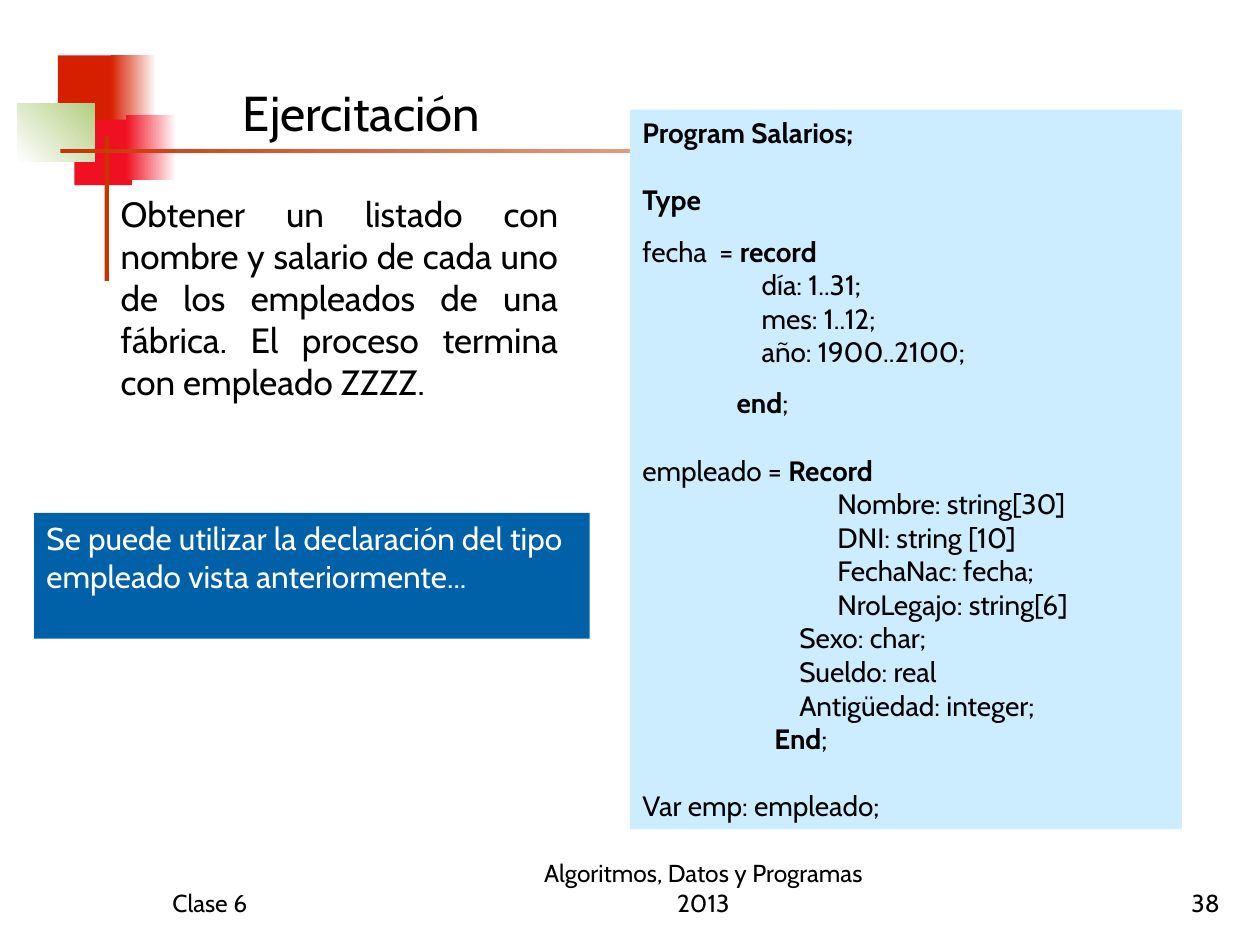
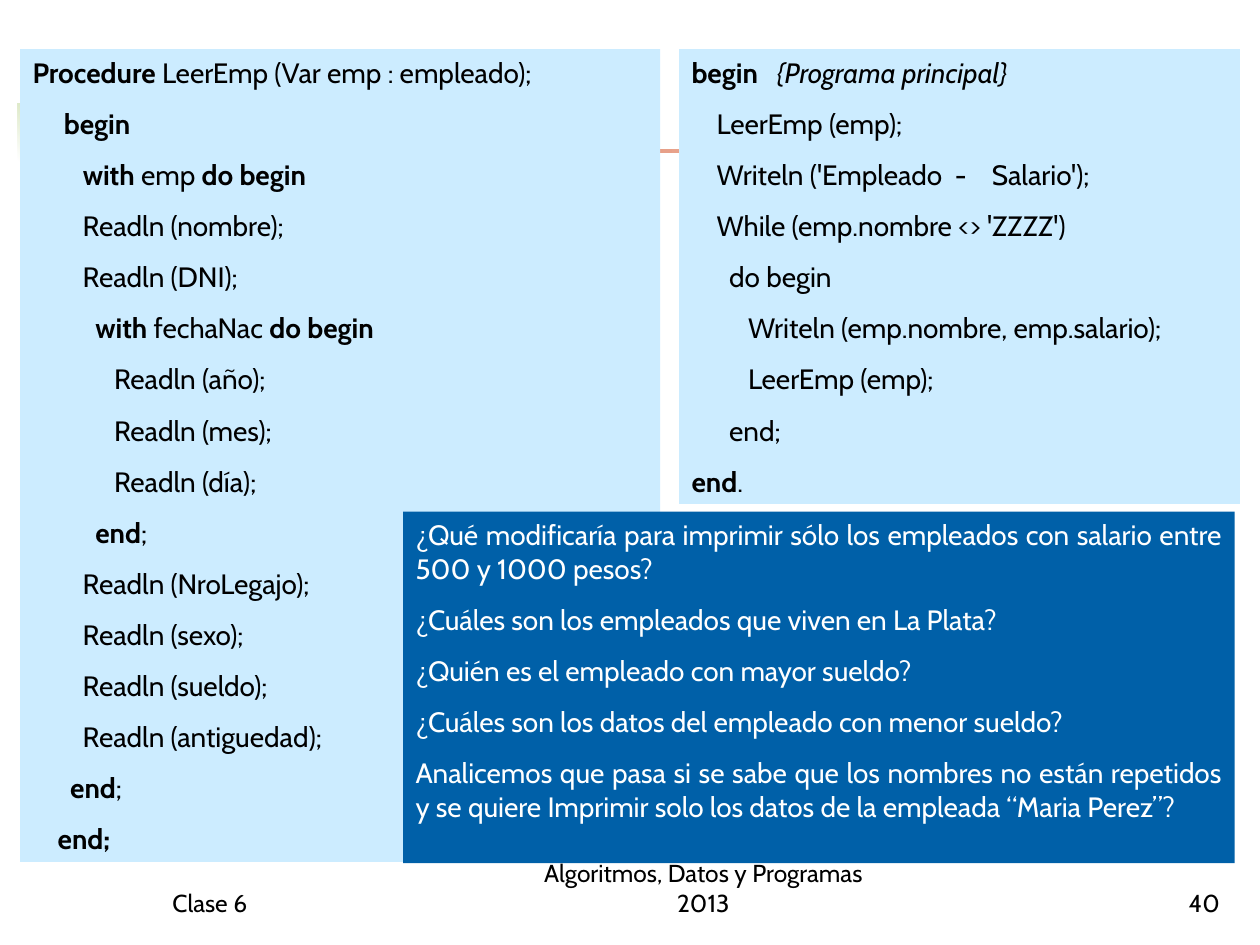
from lxml import etree
from pptx import Presentation
from pptx import util as u
from pptx.dml.color import RGBColor
from pptx.enum import shapes, text
from pptx.oxml.ns import qn

COLORS = {
    "black": "000000", "white": "FFFFFF", "red": "D61F00", "crimson": "EF1121",
    "green": "B3CE82", "rust": "CC3300", "code": "CCECFF", "note": "0060A8",
}
RGB = {name: RGBColor.from_string(value) for name, value in COLORS.items()}
FONT = "Cabin"
LEFT, CENTER, RIGHT, JUSTIFY = (
    text.PP_ALIGN.LEFT, text.PP_ALIGN.CENTER, text.PP_ALIGN.RIGHT, text.PP_ALIGN.JUSTIFY)
TOP, BOTTOM = text.MSO_ANCHOR.TOP, text.MSO_ANCHOR.BOTTOM
BLANK_LINE = 19.2  # points, one empty line of 16 pt code

prs = Presentation()
prs.slide_width, prs.slide_height = u.Inches(10), u.Inches(7.5)
CELL = prs.slide_width // 100  # grid of 100 columns by 75 rows


def add_box(s, at, fill=None, fade=None, angle=0):
    """Rectangle at (column, row, columns, rows), plain or fading between two colours."""
    sp = s.shapes.add_shape(shapes.MSO_SHAPE.RECTANGLE, *(round(v * CELL) for v in at))
    sp.shadow.inherit = False
    sp.line.fill.background()
    if fade:
        sp.fill.gradient()
        sp.fill.gradient_angle = angle
        for stop, name in zip(sp.fill.gradient_stops, (fill, fade)):
            stop.color.rgb = RGB[name]
    else:
        sp.fill.solid()
        sp.fill.fore_color.rgb = RGB[fill]
    return sp


def add_text(s, at, lines, size, fill=None, color="black", align=LEFT, anchor=TOP,
             gap=0, gaps={}):
    """Write lines; *stars* mark bold, braces mark italic; gaps overrides gap by line."""
    if fill:
        sp = add_box(s, at, fill)
    else:
        sp = s.shapes.add_textbox(*(round(v * CELL) for v in at))
    tf = sp.text_frame
    tf.word_wrap, tf.vertical_anchor = True, anchor
    for i, line in enumerate(lines):
        p = tf.paragraphs[0] if i == 0 else tf.add_paragraph()
        p.alignment = align
        p.space_before = u.Pt(gaps.get(i, gap) if i else 0)
        if "\t" in line:
            tabs = etree.SubElement(p._p.get_or_add_pPr(), qn("a:tabLst"))
            etree.SubElement(tabs, qn("a:tab"), pos=str(10 * CELL), algn="l")
        p.font.name, p.font.size = FONT, u.Pt(size)
        p.font.color.rgb = RGB[color]
        for j, part in enumerate(line.split("*")):
            if part:
                r = p.add_run()
                r.text = part
                r.font.bold = j % 2 == 1
                r.font.italic = part.startswith("{")


# Shared decoration and footer
corner = [
    ((4.6, 4.4, 4.8, 5.2), "red", None, 0),
    ((8.8, 4.4, 3.6, 5.2), "red", "white", 0),
    ((5.9, 9.5, 4.6, 5.2), "crimson", None, 0),
    ((10, 9.1, 4, 5.2), "crimson", "white", 0),
]
green_square = ((1.4, 8.2, 6.1, 4.6), "white", "green", 45)
upright = ((8.3, 10.8, 0.35, 11.5), "rust", None, 0)
rule = ((4.8, 11.8, 90, 0.35), "rust", "white", 0)

pages = []
for number, decoration in (("38", corner + [green_square, upright, rule]),
                           ("40", [green_square, rule])):
    s = prs.slides.add_slide(prs.slide_layouts[6])
    for piece in decoration:
        add_box(s, *piece)
    pages.append((s, number))
exercise, solution = (s for s, number in pages)

# Slide 1: exercise and type declarations
add_text(exercise, (18.3, 0, 79.2, 11.7), ["Ejercitación"], 28, anchor=BOTTOM)
add_text(exercise, (8.6, 14.8, 36.7, 21), [
    "Obtener un listado con nombre y salario de cada uno de los empleados de una "
    "fábrica. El proceso termina con empleado ZZZZ."], 20, align=JUSTIFY)
add_text(exercise, (50, 8.7, 43.8, 57.1), [
    "*Program Salarios;*",
    "*Type*",
    "fecha  = *record*",
    "                   día: 1..31;",
    "                   mes: 1..12;",
    "                   año: 1900..2100;",
    "               *end*;",
    "empleado = *Record*",
    "  \t           Nombre: string[30]",
    "  \t           DNI: string [10]",
    "\t           FechaNac: fecha;",
    "\t           NroLegajo: string[6]",
    "                         Sexo: char;",
    "                         Sueldo: real",
    "                         Antigüedad: integer;",
    "                     *End*;",
    "Var emp: empleado;",
], 16, "code", gaps={1: BLANK_LINE, 2: 10, 6: 10, 7: BLANK_LINE, 16: BLANK_LINE})
add_text(exercise, (2.7, 40.7, 44.1, 10), [
    "Se puede utilizar la declaración del tipo empleado vista anteriormente..."],
    18, "note", "white")

# Slide 2: main program, procedure and questions
add_text(solution, (53.9, 3.9, 44.5, 36.1), [
    "*begin   *{Programa principal}",
    "    LeerEmp (emp);",
    "    Writeln ('Empleado  -    Salario');",
    "    While (emp.nombre <> 'ZZZZ')",
    "      do begin",
    "         Writeln (emp.nombre, emp.salario);",
    "         LeerEmp (emp);",
    "      end;",
    "*end*.",
], 16, "code", align=JUSTIFY, gap=10)
add_text(solution, (1.6, 3.9, 50.8, 64.5), [
    "*Procedure *LeerEmp (Var emp : empleado);",
    "     *begin*",
    "        *with *emp* do begin*",
    "        Readln (nombre);",
    "        Readln (DNI);",
    "          *with* fechaNac *do begin*",
    "             Readln (año);",
    "             Readln (mes);",
    "             Readln (día);",
    "          *end*;",
    "        Readln (NroLegajo);",
    "        Readln (sexo);",
    "        Readln (sueldo);",
    "        Readln (antiguedad);",
    "      *end*;",
    "    *end;*",
], 16, "code", align=JUSTIFY, gap=10)
add_text(solution, (32, 40.6, 66, 27.9), [
    "¿Qué modificaría para imprimir sólo los empleados con salario entre 500 y 1000 pesos?",
    "¿Cuáles son los empleados que viven en La Plata?",
    "¿Quién es el empleado con mayor sueldo?",
    "¿Cuáles son los datos del empleado con menor sueldo?",
    "Analicemos que pasa si se sabe que los nombres no están repetidos y se quiere "
    "Imprimir solo los datos de la empleada “Maria Perez”?",
], 16, "note", "white", JUSTIFY, gap=10)

for s, number in pages:
    for left, width, label, align in ((12.7, 20.8, "Clase 6", LEFT),
                                      (40, 31.65, "Algoritmos, Datos y Programas 2013", CENTER),
                                      (77, 20.8, number, RIGHT)):
        add_text(s, (left, 68.3, width, 5), [label], 14, align=align, anchor=BOTTOM)

prs.save("out.pptx")
